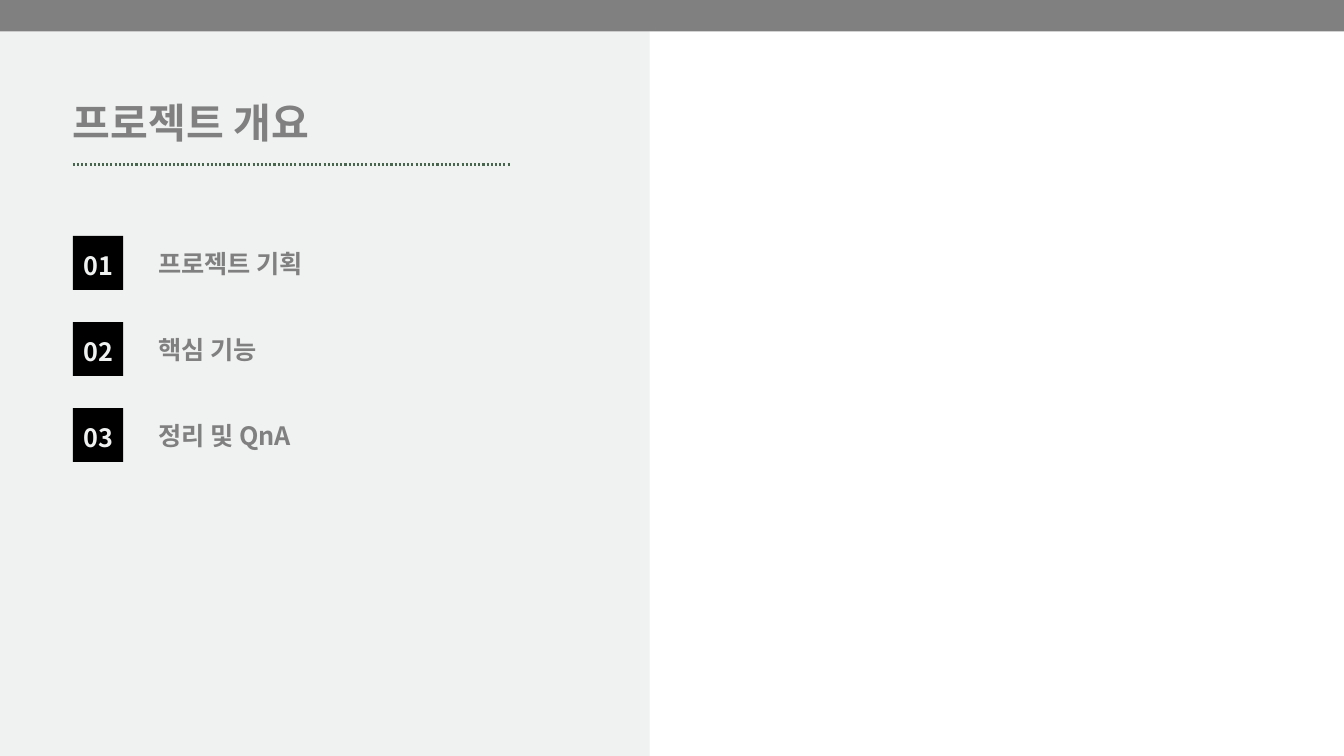
from lxml import etree
from pptx import Presentation
from pptx import util as u
from pptx.dml.color import RGBColor
from pptx.enum import dml, shapes, text
from pptx.oxml.ns import qn

PX = u.Inches(1) // 96
FONT = "Noto Sans CJK KR"
GRAY, PALE, BLACK, GREEN = "808080", "F0F1F1", "000000", "48664D"
LEFT, AGENDA_TOP, AGENDA_STEP = 104, 337, 123
AGENDA = ["프로젝트 기획", "핵심 기능", "정리 및 QnA"]


def color(value):
    return RGBColor.from_string(value)


def box(*lengths):
    return [length * PX for length in lengths]


def add_block(slide, left, top, width, height, fill):
    shape = slide.shapes.add_shape(
        shapes.MSO_SHAPE.RECTANGLE, *box(left, top, width, height))
    shape.shadow.inherit = False
    shape.fill.solid()
    shape.fill.fore_color.rgb = color(fill)
    shape.line.fill.background()
    return shape


def write(shape, words, size, fill, spacing, margin=0):
    """Put one bold paragraph in the shape, with exact line spacing in points."""
    frame = shape.text_frame
    frame.word_wrap = True
    frame.margin_left = frame.margin_right = margin * PX
    frame.margin_top = frame.margin_bottom = margin * PX
    paragraph = frame.paragraphs[0]
    paragraph.text = words
    paragraph.line_spacing = u.Pt(spacing)
    font = paragraph.font
    font.size, font.bold, font.name = u.Pt(size), True, FONT
    font.color.rgb = color(fill)
    properties = paragraph._p.pPr.find(qn("a:defRPr"))
    etree.SubElement(properties, qn("a:ea"), typeface=FONT)
    return paragraph


def add_label(slide, left, top, width, height, words, size):
    shape = slide.shapes.add_textbox(*box(left, top, width, height))
    write(shape, words, size, GRAY, 32.4)
    shape.text_frame.auto_size = text.MSO_AUTO_SIZE.SHAPE_TO_FIT_TEXT


def add_number(slide, top, number):
    shape = add_block(slide, LEFT, top, 72, 77, BLACK)
    paragraph = write(shape, f"{number:02}", 27, PALE, 37.8, margin=6)
    paragraph.alignment = text.PP_ALIGN.CENTER
    shape.text_frame.vertical_anchor = text.MSO_ANCHOR.MIDDLE


def add_dotted_rule(slide, left, right, y):
    rule = slide.shapes.add_connector(
        shapes.MSO_CONNECTOR.STRAIGHT, *box(left, y, right, y))
    rule.line.color.rgb = color(GREEN)
    rule.line.width = u.Pt(2.25)
    rule.line.dash_style = dml.MSO_LINE.ROUND_DOT
    etree.SubElement(rule._element.spPr, qn("a:effectLst"))


def main():
    presentation = Presentation()
    presentation.slide_width, presentation.slide_height = box(1920, 1080)
    slide = presentation.slides.add_slide(presentation.slide_layouts[6])

    add_block(slide, 0, 45, 928, 1035, PALE)
    add_block(slide, 0, 0, 1920, 45, GRAY)
    for index, topic in enumerate(AGENDA):
        top = AGENDA_TOP + index * AGENDA_STEP
        add_number(slide, top, index + 1)
        add_label(slide, 226, top + 18, 254, 44, topic, 27)
    add_dotted_rule(slide, LEFT, 730, 235)
    add_label(slide, LEFT, 167, 626, 46, "프로젝트 개요", 44)

    presentation.save("out.pptx")


if __name__ == "__main__":
    main()
